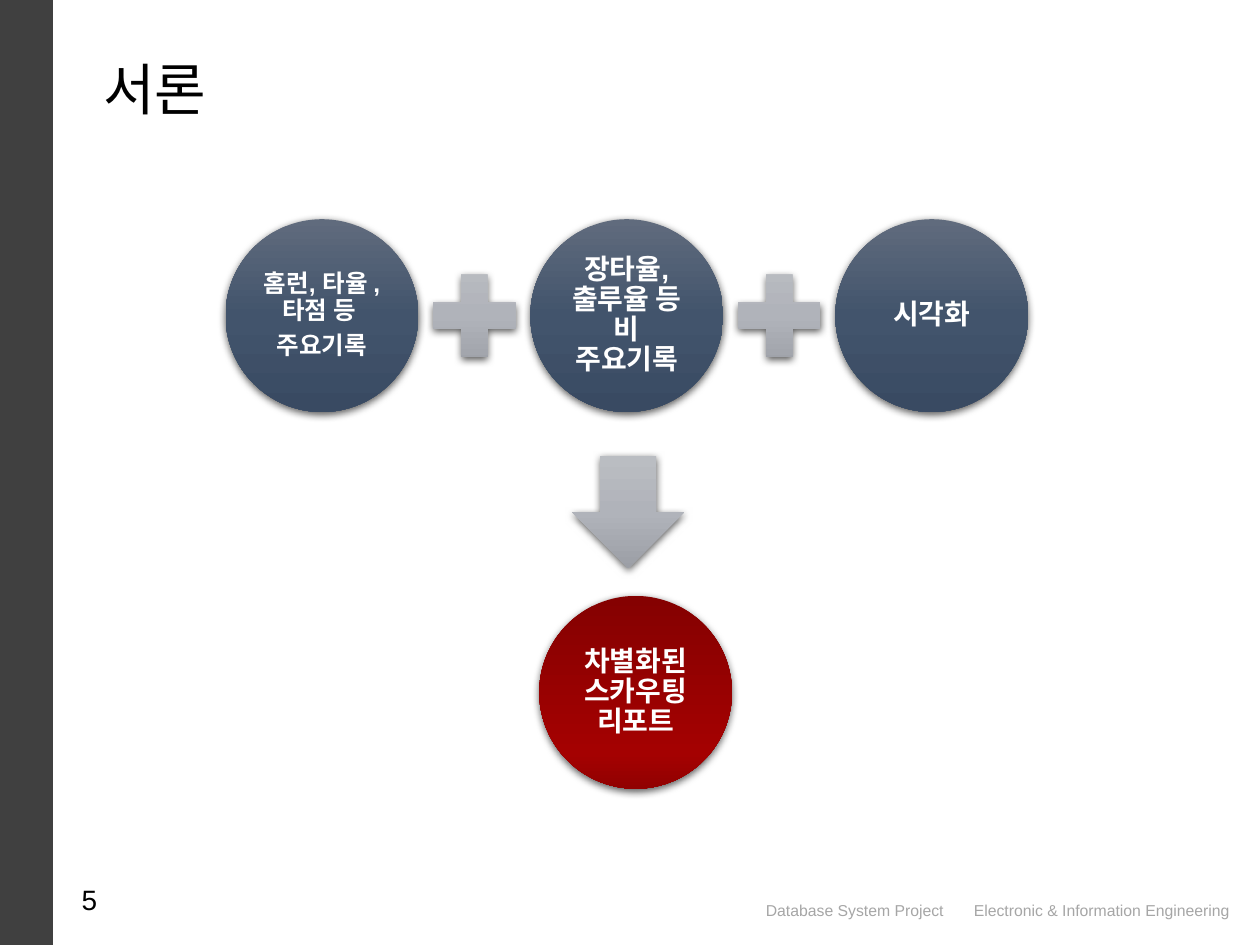
from lxml.etree import SubElement
from pptx import Presentation
from pptx.dml.color import RGBColor
from pptx.enum.shapes import MSO_SHAPE
from pptx.enum.text import MSO_ANCHOR, PP_ALIGN
from pptx.oxml.ns import qn
from pptx.util import Inches, Pt

WHITE = RGBColor(0xFF, 0xFF, 0xFF)
BLACK = RGBColor(0x00, 0x00, 0x00)
DARK = RGBColor(0x40, 0x40, 0x40)
GRAY = RGBColor(0xA6, 0xA6, 0xA6)
NAVY = [(0, RGBColor(0x60, 0x6B, 0x7D)), (50, RGBColor(0x42, 0x54, 0x6C)),
        (100, RGBColor(0x39, 0x4A, 0x62))]
SILVER = [(0, RGBColor(0xBA, 0xBD, 0xC2)), (50, RGBColor(0xB0, 0xB3, 0xBA)),
          (100, RGBColor(0x9C, 0x9F, 0xA6))]
RED = [(0, RGBColor(0x85, 0x01, 0x01)), (82, RGBColor(0xA4, 0x01, 0x01)),
       (100, RGBColor(0x91, 0x01, 0x01))]

prs = Presentation()
prs.slide_width, prs.slide_height = Inches(10), Inches(7.5)
s = prs.slides.add_slide(prs.slide_layouts[5])

CIRCLE, SIGN = Inches(1.53), Inches(0.89)
STEP = CIRCLE + SIGN
LEFT, TOP = Inches(1.79), Inches(1.74)


def add_graded(kind, left, top, size, stops):
    """Add a square-framed shape with a vertical gradient and a soft shadow below."""
    sp = s.shapes.add_shape(kind, left, top, size, size)
    sp.line.fill.background()
    sp.fill.gradient()
    sp.fill.gradient_angle = 270
    gs_list = sp._element.spPr.find(".//" + qn("a:gsLst"))
    for gs in list(gs_list):
        gs_list.remove(gs)
    for pos, color in stops:
        gs = SubElement(gs_list, qn("a:gs"), pos=str(pos * 1000))
        SubElement(gs, qn("a:srgbClr"), val=str(color))
    effects = SubElement(sp._element.spPr, qn("a:effectLst"))
    shadow = SubElement(effects, qn("a:outerShdw"), blurRad=str(Pt(4.5)),
                        dist=str(Pt(1.5)), dir="5400000", rotWithShape="0")
    black = SubElement(shadow, qn("a:srgbClr"), val=str(BLACK))
    SubElement(black, qn("a:alpha"), val="63000")
    return sp


def write(shape, lines, size, color, align=PP_ALIGN.LEFT, anchor=MSO_ANCHOR.TOP):
    tf = shape.text_frame
    tf.word_wrap = True
    tf.vertical_anchor = anchor
    tf.text = "\n".join(lines)
    for p in tf.paragraphs:
        p.alignment = align
        p.font.name, p.font.size, p.font.color.rgb = "Arial", Pt(size), color
    return tf


# Side bar, footer, page number and title
bar = s.shapes.add_shape(MSO_SHAPE.RECTANGLE, 0, 0, Inches(0.42), prs.slide_height)
bar.shadow.inherit = False
bar.fill.solid()
bar.fill.fore_color.rgb = DARK
bar.line.fill.background()

footer = s.shapes.add_textbox(Inches(5.98), Inches(7.1), Inches(3.88), Inches(0.25))
tf = write(footer, ["Database System Project\tElectronic & Information Engineering"], 9, GRAY)
tabs = SubElement(tf.paragraphs[0]._p.get_or_add_pPr(), qn("a:tabLst"))
SubElement(tabs, qn("a:tab"), pos=str(Inches(1.65)), algn="l")
tf.paragraphs[0]._p.pPr.insert(0, tabs)
tf.word_wrap = False

number = s.shapes.add_textbox(Inches(0.4), Inches(6.93), Inches(0.47), Inches(0.42))
write(number, ["5"], 16, BLACK, PP_ALIGN.RIGHT, MSO_ANCHOR.MIDDLE)

title = s.shapes.title
title.left, title.top = Inches(0.72), Inches(0.38)
title.width, title.height = Inches(6.71), Inches(0.64)
write(title, ["서론"], 32, BLACK)

# Three inputs joined by plus signs, leading down to the result
circles = [
    (LEFT, TOP, NAVY, 14, ["홈런, 타율 ,타점 등 ", "주요기록"]),
    (LEFT + STEP, TOP, NAVY, 16, ["장타율, 출루율 등 비 주요기록"]),
    (LEFT + 2 * STEP, TOP, NAVY, 16, ["시각화"]),
    (Inches(4.28), Inches(4.73), RED, 16, ["차별화된 스카우팅 리포트"]),
]
for left, top, stops, size, lines in circles:
    sp = add_graded(MSO_SHAPE.OVAL, left, top, CIRCLE, stops)
    tf = write(sp, lines, size, WHITE, PP_ALIGN.CENTER, MSO_ANCHOR.MIDDLE)
    tf.margin_left = tf.margin_right = tf.margin_top = tf.margin_bottom = Inches(0.02)
    for p in tf.paragraphs:
        p.font.bold = True
        p.line_spacing = 0.9
        p.space_after = Pt(0.35 * size)

for i in range(2):
    add_graded(MSO_SHAPE.MATH_PLUS, LEFT + CIRCLE + i * STEP,
               TOP + (CIRCLE - SIGN) // 2, SIGN, SILVER)
add_graded(MSO_SHAPE.DOWN_ARROW, Inches(4.54), Inches(3.62), SIGN, SILVER)

prs.save("out.pptx")
